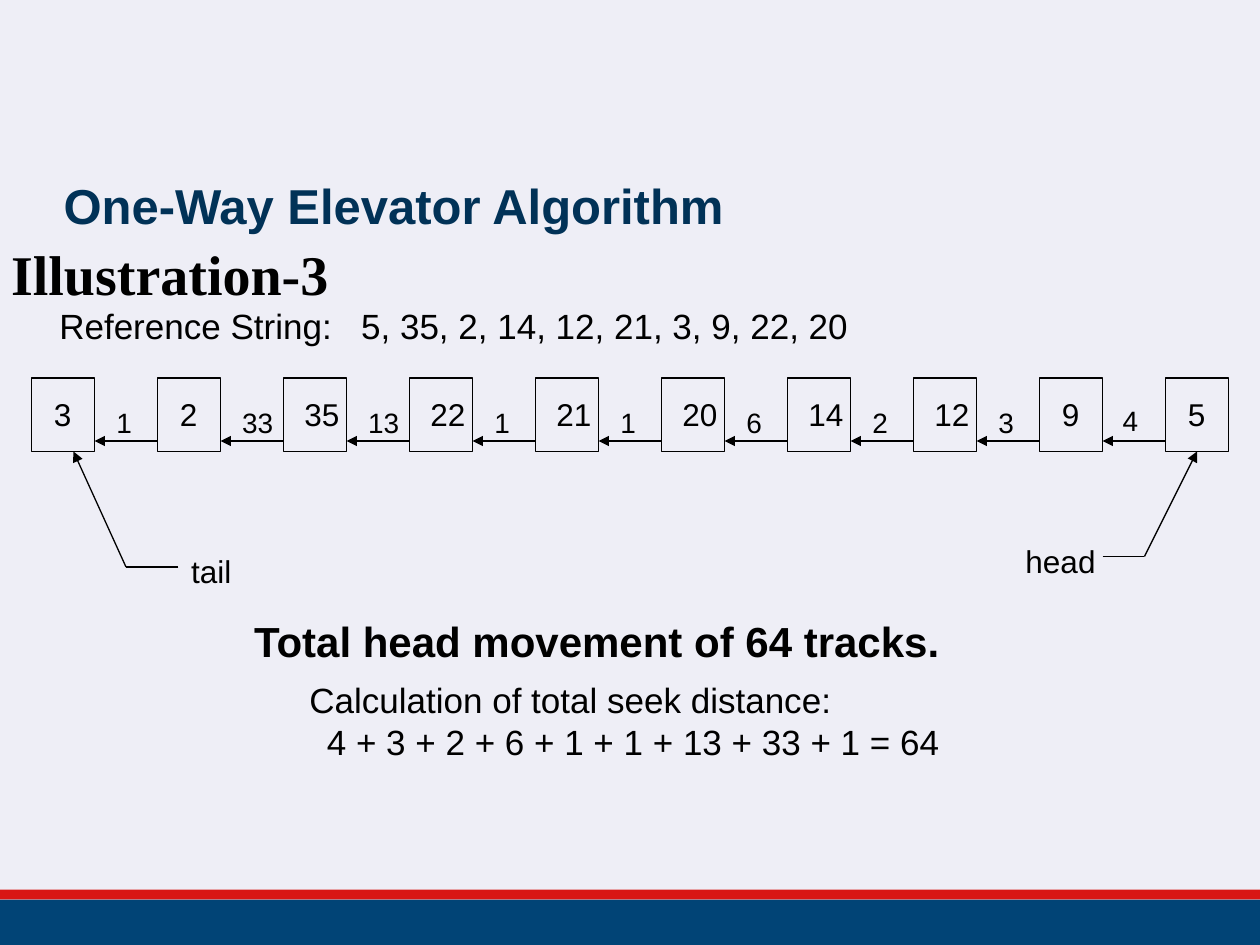
from lxml import etree
from pptx import Presentation
from pptx.dml.color import RGBColor
from pptx.enum import shapes, text
from pptx.oxml.ns import qn
from pptx.util import Pt

COLORS = {"background": "EEEEF6", "navy": "014476", "red": "D81714",
          "title": "013257", "ink": "000000"}
CENTER, LEFT, RIGHT = text.PP_ALIGN.CENTER, text.PP_ALIGN.LEFT, text.PP_ALIGN.RIGHT

deck = Presentation()
deck.slide_width, deck.slide_height = Pt(720), Pt(540)
page = deck.slides.add_slide(deck.slide_layouts[6])
page.background.fill.solid()
page.background.fill.fore_color.rgb = RGBColor.from_string(COLORS["background"])


def add_text(words, left, top, width, height, size, bold=False, align=CENTER,
             font="Arial", color="ink"):
    box = page.shapes.add_textbox(Pt(left), Pt(top), Pt(width), Pt(height))
    frame = box.text_frame
    frame.text = words
    frame.word_wrap = False
    frame.vertical_anchor = text.MSO_ANCHOR.MIDDLE
    for para in frame.paragraphs:
        para.alignment = align
        for span in para.runs:
            span.font.name, span.font.size, span.font.bold = font, Pt(size), bold
            span.font.color.rgb = RGBColor.from_string(COLORS[color])
    return frame


def add_line(x1, y1, x2, y2, arrow=True):
    line = page.shapes.add_connector(shapes.MSO_CONNECTOR.STRAIGHT,
                                     Pt(x1), Pt(y1), Pt(x2), Pt(y2))
    line.line.width = Pt(0.75)
    line.line.color.rgb = RGBColor.from_string(COLORS["ink"])
    if arrow:
        etree.SubElement(line.line._get_or_add_ln(), qn("a:tailEnd"), type="triangle")
    etree.SubElement(line._element.spPr, qn("a:effectLst"))


# Footer bands
for color, top, height in (("navy", 514, 26), ("red", 508.3, 5.7)):
    band = page.shapes.add_shape(shapes.MSO_SHAPE.RECTANGLE, 0, Pt(top), Pt(720), Pt(height))
    band.shadow.inherit = False
    band.fill.solid()
    band.fill.fore_color.rgb = RGBColor.from_string(COLORS[color])
    band.line.fill.background()

# Headings
add_text("One-Way Elevator Algorithm", 2.9, 88.5, 417.6, 57, 28, bold=True,
         align=RIGHT, color="title")
add_text("Illustration-3", -0.7, 133.2, 250, 46, 32, bold=True, align=LEFT,
         font="Times New Roman")

# Reference string, with a tab stop before the numbers
reference = add_text("Reference String:\t5, 35, 2, 14, 12, 21, 3, 9, 22, 20",
                     26.8, 170.1, 480, 31.7, 20, align=LEFT)
reference.word_wrap = True
tabs = etree.SubElement(reference.paragraphs[0]._p.get_or_add_pPr(), qn("a:tabLst"))
etree.SubElement(tabs, qn("a:tab"), pos=str(Pt(172.5)), algn="l")

# Queue of tracks, from tail to head
tracks = [3, 2, 35, 22, 21, 20, 14, 12, 9, 5]
pitch, cell_width, cell_top, cell_height = 72, 36, 216, 42
for index, track in enumerate(tracks):
    left = 18 + index * pitch
    cell = page.shapes.add_shape(shapes.MSO_SHAPE.RECTANGLE, Pt(left), Pt(cell_top),
                                 Pt(cell_width), Pt(cell_height))
    cell.shadow.inherit = False
    cell.fill.background()
    cell.line.width = Pt(0.75)
    cell.line.color.rgb = RGBColor.from_string(COLORS["ink"])
    wide = track > 9
    add_text(str(track), left + (4 if wide else 4.8), 222, 36 if wide else 26, 29, 18)

# Seek distances between neighbouring tracks
for index, (track, following) in enumerate(zip(tracks, tracks[1:])):
    left = 18 + index * pitch
    distance = abs(track - following)
    add_line(left + pitch, 252, left + cell_width, 252)
    is_last = index == len(tracks) - 2
    add_text(str(distance), left + (39 if is_last else 40), 226.8 if is_last else 228.2,
             34.4 if distance > 9 else 26, 26.6, 16)

# Head and tail pointers
add_text("head", 576, 306, 60, 28.8, 18)
add_line(630, 318, 654, 318, arrow=False)
add_line(654, 318, 684, 258)
add_text("tail", 100.7, 312, 40, 28.8, 18)
add_line(102, 324, 72, 324, arrow=False)
add_line(72, 324, 42, 258)

# Result
add_text("Total head movement of 64 tracks.", 136, 348, 410, 36, 24, bold=True)
result = add_text("Calculation of total seek distance:\n"
                  "4 + 3 + 2 + 6 + 1 + 1 + 13 + 33 + 1 = 64", 105, 384, 442, 55.4, 20)
result.paragraphs[1]._p.get_or_add_pPr().set("marL", str(Pt(72)))

deck.save("out.pptx")
